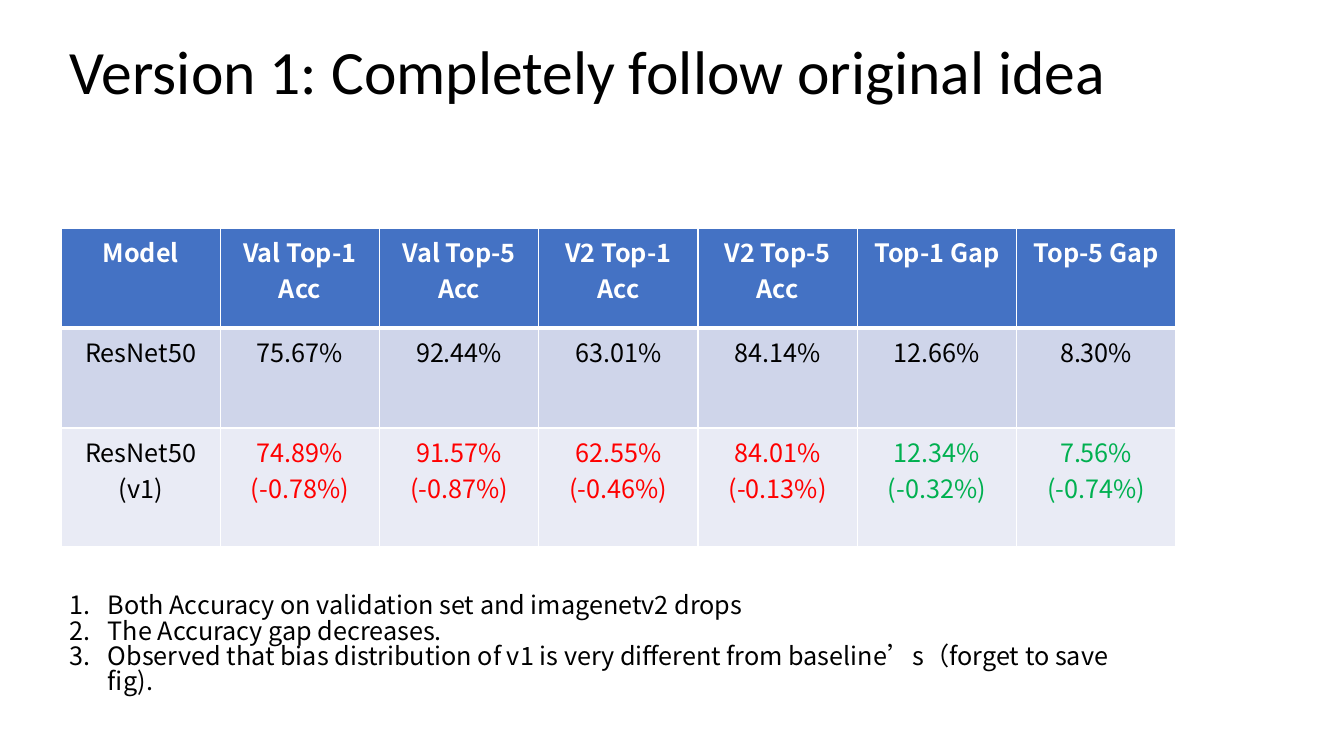
import pptx
import pptx.util
import pptx.dml.color
import pptx.enum.text
import pptx.oxml
import pptx.oxml.ns
from lxml import etree

RGB = pptx.dml.color.RGBColor
BLACK = RGB(0x00, 0x00, 0x00)
WHITE = RGB(0xFF, 0xFF, 0xFF)
BLUE = RGB(0x44, 0x72, 0xC4)
BAND_DARK = RGB(0xCF, 0xD5, 0xEA)
BAND_LIGHT = RGB(0xE9, 0xEB, 0xF5)
RED = RGB(0xFF, 0x00, 0x00)
GREEN = RGB(0x00, 0xB0, 0x50)

TITLE_FONT = "Calibri"
BODY_FONT = "Noto Sans CJK SC"
CENTER = pptx.enum.text.PP_ALIGN.CENTER
MIDDLE = pptx.enum.text.MSO_ANCHOR.MIDDLE
TOP = pptx.enum.text.MSO_ANCHOR.TOP

HEADERS = ["Model", "Val Top-1 Acc", "Val Top-5 Acc", "V2 Top-1 Acc",
           "V2 Top-5 Acc", "Top-1 Gap", "Top-5 Gap"]
BASELINE = ["ResNet50", "75.67%", "92.44%", "63.01%", "84.14%", "12.66%", "8.30%"]
VERSION_1 = ["ResNet50\n(v1)", "74.89%\n(-0.78%)", "91.57%\n(-0.87%)",
             "62.55%\n(-0.46%)", "84.01%\n(-0.13%)", "12.34%\n(-0.32%)",
             "7.56%\n(-0.74%)"]
V1_COLORS = [BLACK] + [RED] * 4 + [GREEN] * 2

# Row: texts, height in px, fill, text colours, bold
ROWS = [
    (HEADERS, 100, BLUE, [WHITE] * 7, True),
    (BASELINE, 100, BAND_DARK, [BLACK] * 7, False),
    (VERSION_1, 119, BAND_LIGHT, V1_COLORS, False),
]

FINDINGS = [
    "Both Accuracy on validation set and imagenetv2 drops",
    "The Accuracy gap decreases.",
    "Observed that bias distribution of v1 is very different from "
    "baseline’s（forget to save fig).",
]


def px(n):
    return pptx.util.Emu(round(n * 914400 / 100.8))


def add_text(p, text, font=BODY_FONT, size=18, color=BLACK, bold=False,
             align=None, spacing=None):
    p.alignment = align
    p.line_spacing = spacing
    r = p.add_run()
    r.text = text
    r.font.name = font
    r.font.size = pptx.util.Pt(size)
    r.font.bold = bold
    r.font.color.rgb = color
    ea = etree.SubElement(r.font._element, pptx.oxml.ns.qn("a:ea"))
    ea.set("typeface", font)


def add_paragraphs(tf, lines, numbered=False, **fmt):
    for i, line in enumerate(lines):
        p = tf.add_paragraph() if i else tf.paragraphs[0]
        if numbered:
            number_paragraph(p)
        add_text(p, line, **fmt)


def number_paragraph(p):
    pPr = p._p.get_or_add_pPr()
    pPr.set("marL", str(px(38)))
    pPr.set("indent", str(-px(38)))
    bullet = etree.SubElement(pPr, pptx.oxml.ns.qn("a:buAutoNum"))
    bullet.set("type", "arabicPeriod")


def add_box(s, x, y, w, h, lines, anchor=TOP, **fmt):
    tf = s.shapes.add_textbox(px(x), px(y), px(w), px(h)).text_frame
    tf.word_wrap = True
    tf.vertical_anchor = anchor
    add_paragraphs(tf, lines, **fmt)


def set_borders(cell, **widths):
    tcPr = cell._tc.get_or_add_tcPr()
    for side, width in widths.items():
        tcPr.append(pptx.oxml.parse_xml(
            f'<a:ln{side} {pptx.oxml.ns.nsdecls("a")} w="{pptx.util.Pt(width)}">'
            f'<a:solidFill><a:srgbClr val="{WHITE}"/></a:solidFill></a:ln{side}>'))


def add_results_table(s, x, y, w):
    height = sum(row[1] for row in ROWS)
    table = s.shapes.add_table(len(ROWS), len(HEADERS), px(x), px(y),
                               px(w), px(height)).table
    table.first_row = False
    table.horz_banding = False
    for column in table.columns:
        column.width = px(w / len(HEADERS))
    for i, (texts, row_height, fill, colors, bold) in enumerate(ROWS):
        table.rows[i].height = px(row_height)
        for j, (text, color) in enumerate(zip(texts, colors)):
            cell = table.cell(i, j)
            set_borders(cell, L=1, R=1, T=3 if i == 1 else 1, B=3 if i == 0 else 1)
            cell.fill.solid()
            cell.fill.fore_color.rgb = fill
            add_paragraphs(cell.text_frame, text.split("\n"), color=color,
                           bold=bold, align=CENTER)


def main():
    prs = pptx.Presentation()
    prs.slide_width, prs.slide_height = px(1344), px(756)
    s = prs.slides.add_slide(prs.slide_layouts[6])

    # Title
    add_box(s, 60, 2, 1159, 146, ["Version 1: Completely follow original idea"],
            anchor=MIDDLE, font=TITLE_FONT, size=44, spacing=0.9)

    # Accuracy results
    add_results_table(s, 61, 228, 1115)

    # Findings
    add_box(s, 60, 590, 1100, 102, FINDINGS, numbered=True, spacing=0.83)

    prs.save("out.pptx")


if __name__ == "__main__":
    main()
